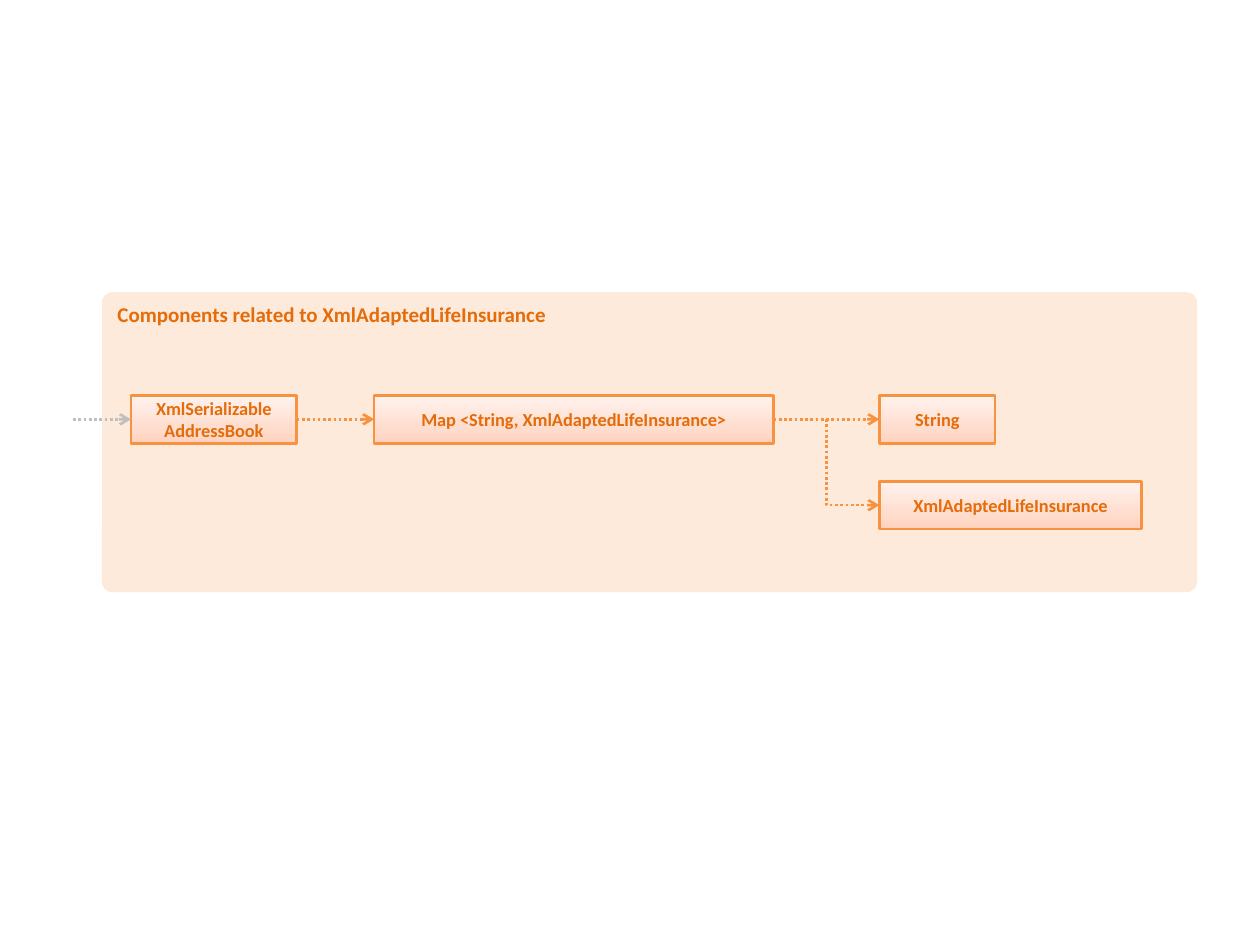
from copy import deepcopy
from dataclasses import dataclass

from pptx import Presentation
from pptx.dml.color import RGBColor
from pptx.enum.dml import MSO_LINE
from pptx.enum.shapes import MSO_CONNECTOR, MSO_SHAPE
from pptx.enum.text import MSO_ANCHOR, PP_ALIGN
from pptx.oxml.ns import qn
from pptx.shapes.autoshape import Shape
from pptx.slide import Slide
from pptx.util import Pt
from lxml.etree import SubElement

ORANGE = "F69240"
GREY = "BFBFBF"
GRADIENT = ((0, "FFD2BD"), (0.35, "FFDED0"), (1, "FFF2ED"))
TEXT_FORMAT = {"name": "Calibri", "bold": True}
LINE_WIDTH = 1.5
BOX_HEIGHT = 27.3
FIRST_ROW, SECOND_ROW = 226, 275
ENTRY_LEFT = 41.8
RIGHT_SIDE, LEFT_SIDE = 3, 1


@dataclass
class ClassBox:
    text: str
    left: float
    top: float
    width: float


@dataclass
class Dependency:
    source: str
    target: str


CLASS_BOXES = (
    ClassBox("XmlSerializable\nAddressBook", 74.9, FIRST_ROW, 94.7),
    ClassBox("Map <String, XmlAdaptedLifeInsurance>", 213.8, FIRST_ROW, 228.3),
    ClassBox("XmlAdaptedLifeInsurance", 502.5, SECOND_ROW, 150),
    ClassBox("String", 502.5, FIRST_ROW, 66.2),
)
SERIALIZABLE, INSURANCE_MAP, INSURANCE, STRING = (box.text for box in CLASS_BOXES)
DEPENDENCIES = (
    Dependency(SERIALIZABLE, INSURANCE_MAP),
    Dependency(INSURANCE_MAP, STRING),
    Dependency(INSURANCE_MAP, INSURANCE),
)


def color(value: str) -> RGBColor:
    return RGBColor.from_string(value)


def write_text(shape: Shape, text: str, size: float, alignment: PP_ALIGN, anchor: MSO_ANCHOR) -> None:
    frame = shape.text_frame
    frame.word_wrap = True
    frame.vertical_anchor = anchor
    paragraph = frame.paragraphs[0]
    paragraph.text = text
    paragraph.alignment = alignment
    for font in (paragraph.font, *(run.font for run in paragraph.runs)):
        for name, value in {**TEXT_FORMAT, "size": Pt(size)}.items():
            setattr(font, name, value)
        font.color.rgb = color("E46C0A")


def fill_gradient(shape: Shape) -> None:
    """Fill with the three-stop gradient, running from bottom to top."""
    shape.fill.gradient()
    shape.fill.gradient_angle = 90
    stop_list = shape._element.spPr.find(qn("a:gradFill")).find(qn("a:gsLst"))
    stop_list.append(deepcopy(stop_list[-1]))
    for stop, (position, value) in zip(shape.fill.gradient_stops, GRADIENT):
        stop.position = position
        stop.color.rgb = color(value)


def draw_panel(slide: Slide) -> None:
    panel = slide.shapes.add_shape(
        MSO_SHAPE.ROUNDED_RECTANGLE, Pt(58.3), Pt(167), Pt(625.7), Pt(171.4))
    panel.adjustments[0] = 0.035
    panel.shadow.inherit = False
    panel.fill.solid()
    panel.fill.fore_color.rgb = color("FDEADA")
    panel.line.fill.background()
    write_text(panel, "Components related to XmlAdaptedLifeInsurance", 12,
               PP_ALIGN.LEFT, MSO_ANCHOR.TOP)


def draw_class_box(slide: Slide, box: ClassBox) -> Shape:
    shape = slide.shapes.add_shape(
        MSO_SHAPE.RECTANGLE, Pt(box.left), Pt(box.top), Pt(box.width), Pt(BOX_HEIGHT))
    shape.shadow.inherit = False
    fill_gradient(shape)
    shape.line.color.rgb = color(ORANGE)
    shape.line.width = Pt(LINE_WIDTH)
    write_text(shape, box.text, 10.5, PP_ALIGN.CENTER, MSO_ANCHOR.MIDDLE)
    return shape


def draw_arrow(slide: Slide, source: Shape | None, target: Shape, line_color: str) -> None:
    """Draw a dotted elbow arrow; without a source it enters from the left of the panel."""
    middle = target.top + target.height // 2
    connector = slide.shapes.add_connector(
        MSO_CONNECTOR.ELBOW, Pt(ENTRY_LEFT), middle, target.left, middle)
    if source is not None:
        connector.begin_connect(source, RIGHT_SIDE)
    connector.end_connect(target, LEFT_SIDE)
    line = connector.line
    line.color.rgb = color(line_color)
    line.width = Pt(LINE_WIDTH)
    line.dash_style = MSO_LINE.ROUND_DOT
    SubElement(line._get_or_add_ln(), qn("a:tailEnd"), type="arrow")
    SubElement(connector._element.spPr, qn("a:effectLst"))


def main() -> None:
    presentation = Presentation()
    presentation.slide_width, presentation.slide_height = Pt(720), Pt(540)
    slide = presentation.slides.add_slide(presentation.slide_layouts[6])
    draw_panel(slide)
    shapes = {box.text: draw_class_box(slide, box) for box in CLASS_BOXES}
    draw_arrow(slide, None, shapes[SERIALIZABLE], GREY)
    for dependency in DEPENDENCIES:
        draw_arrow(slide, shapes[dependency.source], shapes[dependency.target], ORANGE)
    presentation.save("out.pptx")


if __name__ == "__main__":
    main()
